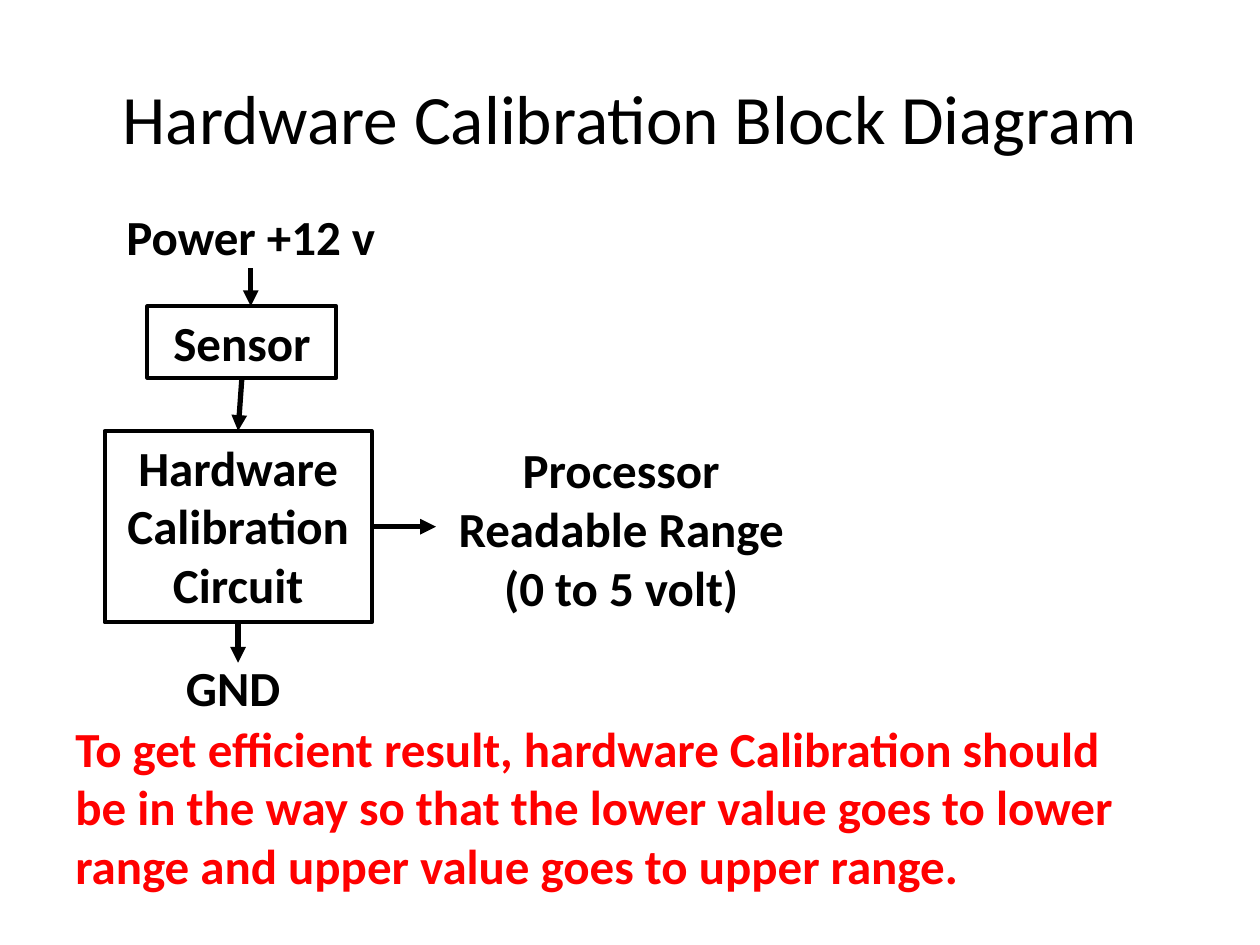
from lxml.etree import SubElement
from pptx import Presentation
from pptx.dml.color import RGBColor
from pptx.enum.shapes import MSO_CONNECTOR, MSO_SHAPE
from pptx.enum.text import MSO_ANCHOR, PP_ALIGN
from pptx.oxml.ns import qn
from pptx.util import Pt

PX = 9144  # EMU per px, 100 px to the inch
COLORS = {"ink": "000000", "warning": "FF0000"}
TOP, LEFT, BOTTOM, RIGHT = range(4)


def color(name):
    return RGBColor.from_string(COLORS[name])


def place(shape, box):
    shape.left, shape.top, shape.width, shape.height = (n * PX for n in box)


def write(shape, text, size=28, bold=True, ink="ink", align=PP_ALIGN.CENTER,
          anchor=MSO_ANCHOR.TOP):
    frame = shape.text_frame
    frame.word_wrap = True
    frame.vertical_anchor = anchor
    para = frame.paragraphs[0]
    para.alignment = align
    span = para.add_run()
    span.text = text
    span.font.name = "Calibri"
    span.font.size = Pt(size)
    span.font.bold = bold
    span.font.color.rgb = color(ink)


def add_label(page, box, text, **text_format):
    label = page.shapes.add_textbox(*(n * PX for n in box))
    write(label, text, **text_format)


def add_block(page, box, text):
    block = page.shapes.add_shape(MSO_SHAPE.RECTANGLE, *(n * PX for n in box))
    block.shadow.inherit = False
    block.fill.background()
    block.line.color.rgb = color("ink")
    block.line.width = Pt(2.25)
    write(block, text)
    return block


def add_arrow(page, start, end):
    arrow = page.shapes.add_connector(
        MSO_CONNECTOR.STRAIGHT, *(n * PX for n in (*start, *end)))
    arrow.line.color.rgb = color("ink")
    arrow.line.width = Pt(3)
    SubElement(arrow.line._get_or_add_ln(), qn("a:tailEnd"), type="triangle")
    SubElement(arrow._element.spPr, qn("a:effectLst"))
    return arrow


def add_title(page, box, text):
    title = page.shapes.title
    place(title, box)
    write(title, text, size=39.6, bold=False, anchor=MSO_ANCHOR.MIDDLE)


def add_diagram(page, left, top):
    def at(x, y, *size):
        return (left + x, top + y, *size)

    # Blocks
    sensor = add_block(page, at(34, 84, 150, 57), "Sensor")
    circuit = add_block(page, at(0, 183, 212, 152),
                        "Hardware Calibration Circuit")

    # Arrows
    output = add_arrow(page, at(212, 259), at(263, 259))
    output.begin_connect(circuit, RIGHT)
    signal = add_arrow(page, at(109, 141), at(106, 183))
    signal.begin_connect(sensor, BOTTOM)
    signal.end_connect(circuit, TOP)
    add_arrow(page, at(116, 54), at(116, 84))
    ground = add_arrow(page, at(106, 335), at(106, 367))
    ground.begin_connect(circuit, BOTTOM)

    # Labels
    add_label(page, at(6, 0, 220, 57), "Power +12 v")
    add_label(page, at(54, 358, 96, 57), "GND")
    add_label(page, at(265, 185, 290, 151),
              "Processor Readable Range (0 to 5 volt)")


def main():
    deck = Presentation()
    deck.slide_width, deck.slide_height = 1000 * PX, 750 * PX
    page = deck.slides.add_slide(deck.slide_layouts.get_by_name("Title Only"))
    add_title(page, (50, 30, 900, 125), "Hardware Calibration Block Diagram")
    add_diagram(page, 83, 159)
    # Closing advice
    add_label(page, (50, 565, 867, 151),
              "To get efficient result, hardware Calibration should be in the "
              "way so that the lower value goes to lower range and upper value "
              "goes to upper range.", ink="warning", align=PP_ALIGN.LEFT)
    deck.save("out.pptx")


if __name__ == "__main__":
    main()
